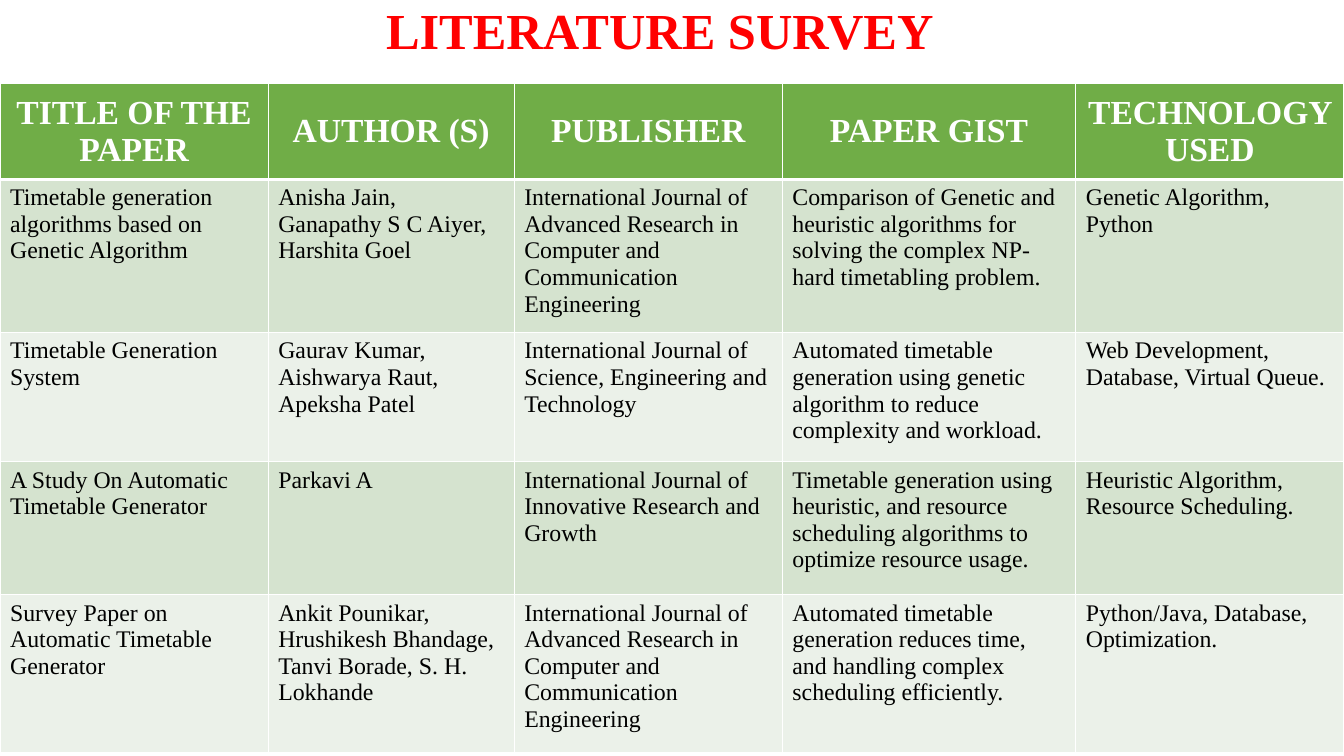
"""Build the literature survey slide: a red title above a table of four papers."""
from lxml.etree import SubElement
from pptx import Presentation
from pptx.dml.color import RGBColor
from pptx.enum.text import MSO_ANCHOR as Anchor, MSO_AUTO_SIZE as AutoSize, PP_ALIGN as Align
from pptx.oxml.ns import qn
from pptx.util import Inches, Pt

COLORS = {"title": "FF0000", "header": "70AD47", "odd": "D5E3CF", "even": "EBF1E9",
          "border": "FFFFFF", "header_text": "FFFFFF", "body_text": "000000"}
FORMATS = {
    "title": {"name": "Times New Roman", "size": Pt(36), "bold": True},
    "header_text": {"name": "Times New Roman", "size": Pt(24), "bold": True},
    "body_text": {"name": "Times New Roman", "size": Pt(17), "bold": False},
}
COLUMN_WIDTHS = [2.66, 2.44, 2.66, 2.91, 2.66]
ROW_HEIGHTS = [0.95, 1.52, 1.28, 1.32, 1.57]
TABLE_TOP = 0.83
ADVANCED_RESEARCH = ("International Journal of Advanced Research in Computer "
                     "and Communication Engineering")
ROWS = [
    ["TITLE OF THE PAPER", "AUTHOR (S)", "PUBLISHER", "PAPER GIST", "TECHNOLOGY USED"],
    ["Timetable generation algorithms based on Genetic Algorithm",
     "Anisha Jain, Ganapathy S C Aiyer, Harshita Goel",
     ADVANCED_RESEARCH,
     "Comparison of Genetic and heuristic algorithms for solving the complex NP-hard "
     "timetabling problem.",
     "Genetic Algorithm,\nPython"],
    ["Timetable Generation System",
     "Gaurav Kumar, Aishwarya Raut, Apeksha Patel",
     "International Journal of Science, Engineering and Technology",
     "Automated timetable generation using genetic algorithm to reduce complexity and workload.",
     "Web Development, Database, Virtual Queue."],
    ["A Study On Automatic Timetable Generator",
     "Parkavi A",
     "International Journal of Innovative Research and Growth",
     "Timetable generation using heuristic, and resource scheduling algorithms to optimize "
     "resource usage.",
     "Heuristic Algorithm, Resource Scheduling."],
    ["Survey Paper on Automatic Timetable Generator",
     "Ankit Pounikar, Hrushikesh Bhandage, Tanvi Borade, S. H. Lokhande",
     ADVANCED_RESEARCH,
     "Automated timetable generation reduces time, and handling complex scheduling efficiently.",
     "Python/Java, Database, Optimization."],
]


def format_text(text_frame, role, alignment):
    """Align every paragraph and give its runs the format and colour of the role."""
    for paragraph in text_frame.paragraphs:
        paragraph.alignment = alignment
        for run in paragraph.runs:
            for attribute, value in FORMATS[role].items():
                setattr(run.font, attribute, value)
            run.font.color.rgb = RGBColor.from_string(COLORS[role])


def add_borders(cell, widths):
    """Draw the cell's edges, given as a dict of edge letter to width in points."""
    properties = cell._tc.get_or_add_tcPr()
    for edge, width in widths.items():
        line = SubElement(properties, qn(f"a:ln{edge}"), w=str(Pt(width)))
        fill = SubElement(line, qn("a:solidFill"))
        SubElement(fill, qn("a:srgbClr"), val=COLORS["border"])


presentation = Presentation()
presentation.slide_width = Inches(13.33)
presentation.slide_height = Inches(7.5)
slide = presentation.slides.add_slide(presentation.slide_layouts[5])

title = slide.shapes.title
title.left, title.top, title.width, title.height = map(Inches, (3.7, -0.06, 5.69, 0.71))
title.text_frame.text = "LITERATURE SURVEY"
title.text_frame.word_wrap = False
title.text_frame.auto_size = AutoSize.SHAPE_TO_FIT_TEXT
title.text_frame.vertical_anchor = Anchor.MIDDLE
format_text(title.text_frame, "title", Align.CENTER)

table = slide.shapes.add_table(
    len(ROWS), len(COLUMN_WIDTHS), 0, Inches(TABLE_TOP),
    Inches(sum(COLUMN_WIDTHS)), Inches(sum(ROW_HEIGHTS))).table
table.horz_banding = False
for column, width in zip(table.columns, COLUMN_WIDTHS):
    column.width = Inches(width)
for row, height in zip(table.rows, ROW_HEIGHTS):
    row.height = Inches(height)

for row_index, texts in enumerate(ROWS):
    is_header = row_index == 0
    band = "header" if is_header else "odd" if row_index % 2 else "even"
    borders = {"L": 1, "R": 1, "T": 3 if row_index == 1 else 1, "B": 3 if is_header else 1}
    for column_index, text in enumerate(texts):
        cell = table.cell(row_index, column_index)
        cell.text = text
        cell.vertical_anchor = Anchor.MIDDLE if is_header else Anchor.TOP
        format_text(cell.text_frame, "header_text" if is_header else "body_text",
                    Align.CENTER if is_header else Align.LEFT)
        add_borders(cell, borders)
        cell.fill.solid()
        cell.fill.fore_color.rgb = RGBColor.from_string(COLORS[band])

presentation.save("out.pptx")
